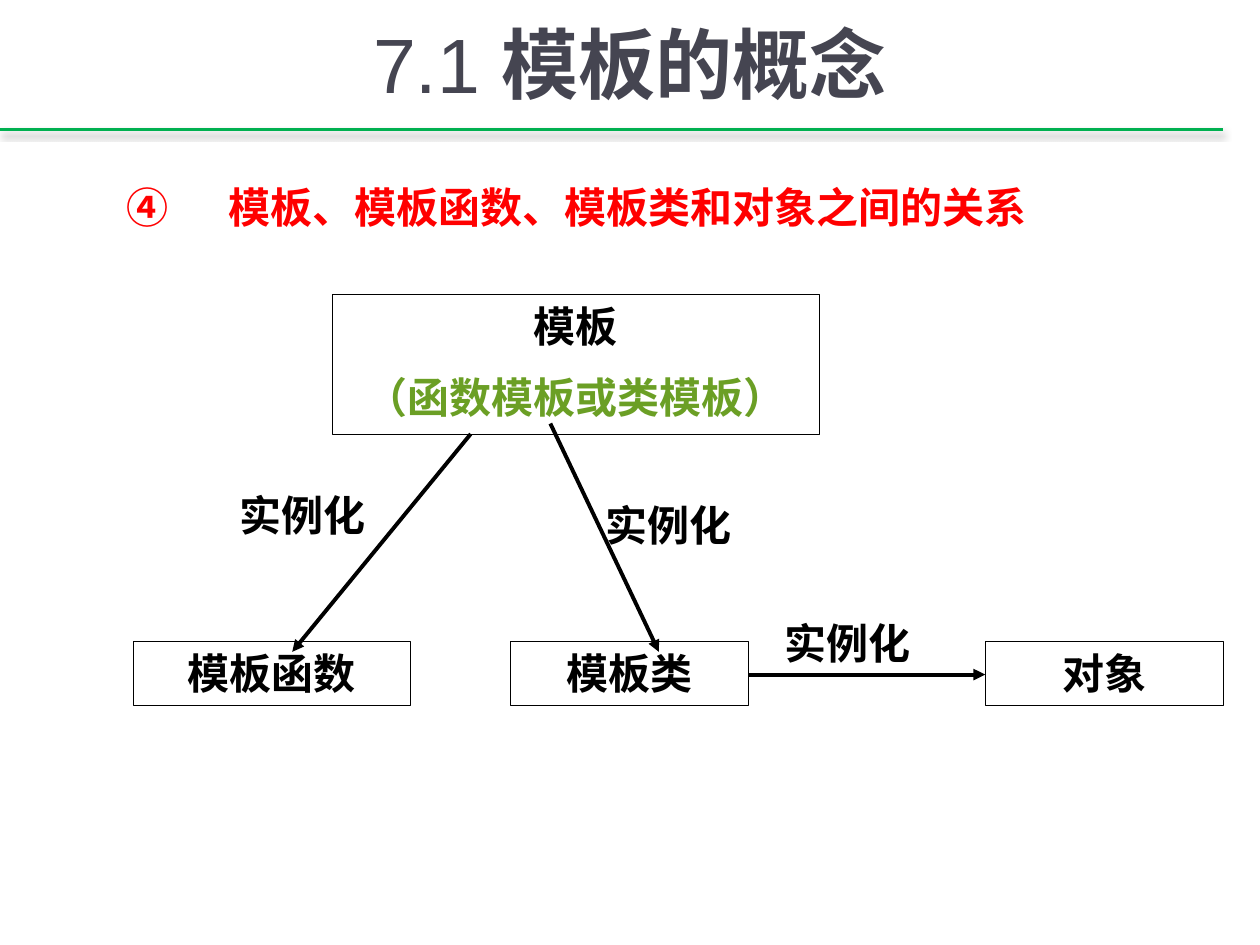
from lxml.etree import SubElement
from pptx import Presentation
from pptx.dml.color import RGBColor
from pptx.enum.shapes import MSO_CONNECTOR, MSO_SHAPE
from pptx.enum.text import MSO_ANCHOR, MSO_AUTO_SIZE, PP_ALIGN
from pptx.oxml.ns import qn
from pptx.util import Pt

BLACK = RGBColor(0x00, 0x00, 0x00)
SLATE = RGBColor(0x45, 0x45, 0x51)
RED = RGBColor(0xFF, 0x00, 0x00)
OLIVE = RGBColor(0x6B, 0x9F, 0x25)
GREEN = RGBColor(0x00, 0xB0, 0x50)
CJK_FONT = "Noto Sans CJK SC"
LABEL = {"name": "Times New Roman", "size": Pt(24), "bold": True}


def place(shape, box):
    """Move a shape to a left, top, width, height box in points."""
    for side, length in zip(("left", "top", "width", "height"), box):
        setattr(shape, side, Pt(length))


def add_run(paragraph, words, color, style):
    """Add a run with the given colour and font values."""
    run = paragraph.add_run()
    run.text = words
    for key, value in style.items():
        setattr(run.font, key, value)
    run.font.color.rgb = color
    SubElement(run.font._element, qn("a:ea"), typeface=CJK_FONT)


def add_line(slide, start, end, color, width):
    """Draw a straight line and return its properties and empty effect list."""
    line = slide.shapes.add_connector(
        MSO_CONNECTOR.STRAIGHT, *(Pt(length) for length in start + end))
    line.line.color.rgb = color
    line.line.width = Pt(width)
    properties = line._element.spPr
    return properties, SubElement(properties, qn("a:effectLst"))


def add_arrow(slide, start, end):
    """Draw an instantiation arrow."""
    properties, _ = add_line(slide, start, end, BLACK, 2.25)
    SubElement(properties.find(qn("a:ln")), qn("a:tailEnd"), type="triangle")


def add_rule(slide, width, top):
    """Draw the shadowed rule below the title."""
    _, effects = add_line(slide, (0, top), (width, top), GREEN, 1.25)
    shadow = SubElement(effects, qn("a:outerShdw"), blurRad=str(Pt(4)),
                        dist=str(Pt(2.5)), dir="5400000", rotWithShape="0")
    tint = SubElement(shadow, qn("a:srgbClr"), val="000000")
    SubElement(tint, qn("a:alpha"), val="47000")


def fill_title(title, box):
    """Place and write the slide title."""
    place(title, box)
    title.text_frame.vertical_anchor = MSO_ANCHOR.MIDDLE
    heading = title.text_frame.paragraphs[0]
    heading.alignment = PP_ALIGN.CENTER
    for words, bold in (("7.1 ", False), ("模板的概念", True)):
        add_run(heading, words, SLATE, {"name": "Arial", "size": Pt(44), "bold": bold})


def fill_topic(body, box):
    """Place and write the numbered topic."""
    place(body, box)
    body.text_frame.auto_size = MSO_AUTO_SIZE.SHAPE_TO_FIT_TEXT
    topic = body.text_frame.paragraphs[0]
    topic.space_before = Pt(0)
    properties = topic._p.get_or_add_pPr()
    properties.set("marL", str(Pt(58.5)))
    properties.set("indent", str(Pt(-58.5)))
    SubElement(properties, qn("a:buAutoNum"), type="circleNumDbPlain", startAt="4")
    add_run(topic, "模板、模板函数、模板类和对象之间的关系", RED,
            {"name": "Arial", "size": Pt(24), "bold": True})


def fill_label(shape, lines):
    """Write centred lines of a box or an arrow label."""
    frame = shape.text_frame
    frame.word_wrap = True
    frame.auto_size = MSO_AUTO_SIZE.SHAPE_TO_FIT_TEXT
    frame.vertical_anchor = MSO_ANCHOR.TOP
    for index, (words, color, style) in enumerate(lines):
        paragraph = frame.add_paragraph() if index else frame.paragraphs[0]
        paragraph.alignment = PP_ALIGN.CENTER
        if index:
            paragraph.space_before = Pt(12)
        add_run(paragraph, words, color, style)


def add_box(slide, box, lines):
    """Draw an outlined box with its lines."""
    shape = slide.shapes.add_shape(MSO_SHAPE.RECTANGLE, *(Pt(length) for length in box))
    shape.shadow.inherit = False
    shape.fill.background()
    shape.line.color.rgb = BLACK
    shape.line.width = Pt(0.25)
    fill_label(shape, lines)


def add_diagram(slide, left, top):
    """Draw how templates lead to functions, classes and objects."""
    row_top, row_height = top + 198.5, 36.5
    add_box(slide, (left + 114, top, 278, 80),
            [("模板", BLACK, LABEL),
             ("（函数模板或类模板）", OLIVE, LABEL | {"name": CJK_FONT})])
    for words, offset, width in (("模板函数", 0, 158.5), ("模板类", 215.5, 136),
                                 ("对象", 487, 136)):
        add_box(slide, (left + offset, row_top, width, row_height),
                [(words, BLACK, LABEL)])
    for across, down in ((17.5, 108), (227, 114), (329, 181.5)):
        label = slide.shapes.add_textbox(
            Pt(left + across), Pt(top + down), Pt(158.5), Pt(36))
        fill_label(label, [("实例化", BLACK, LABEL)])
    for start, end in (((193, 80), (91, 204.5)), ((238.5, 74), (300.5, 204.5)),
                       ((351.5, 217.5), (487, 217.5))):
        add_arrow(slide, (left + start[0], top + start[1]),
                  (left + end[0], top + end[1]))


def main():
    """Build and save the slide."""
    deck = Presentation()
    deck.slide_width, deck.slide_height = Pt(720), Pt(540)
    slide = deck.slides.add_slide(deck.slide_layouts[1])
    add_rule(slide, 699, 74)
    fill_title(slide.shapes.title, (54, -5, 612, 82))
    fill_topic(slide.placeholders[1], (65, 100, 544, 36))
    add_diagram(slide, 76, 168)
    deck.save("out.pptx")


if __name__ == "__main__":
    main()
